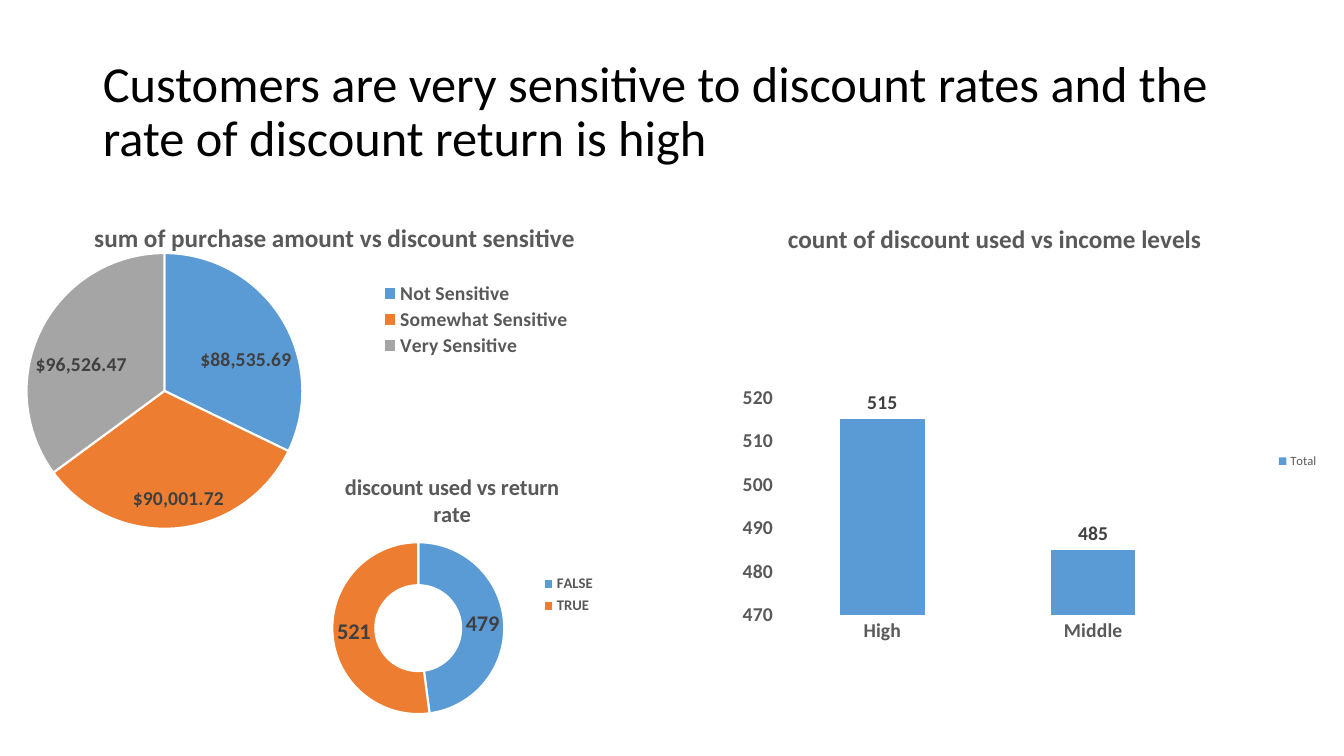
from dataclasses import dataclass
from typing import Optional

from lxml.etree import SubElement
from pptx import Presentation
from pptx.chart.chart import Chart
from pptx.chart.data import CategoryChartData
from pptx.dml.color import RGBColor
from pptx.enum.chart import (XL_CHART_TYPE, XL_LABEL_POSITION, XL_LEGEND_POSITION,
                             XL_TICK_MARK)
from pptx.enum.text import MSO_ANCHOR, MSO_AUTO_SIZE, PP_ALIGN
from pptx.oxml.ns import qn
from pptx.text.text import Font
from pptx.util import Inches, Pt


@dataclass(frozen=True)
class Theme:
    font: str = "Calibri"
    black: str = "000000"
    white: str = "FFFFFF"
    muted: str = "595959"
    label: str = "404040"
    accents: tuple[str, ...] = ("5B9BD5", "ED7D31", "A5A5A5")
    headline_size: float = 36
    base_size: float = 10
    axis_size: float = 14
    slice_border: float = 1.5


THEME = Theme()
Fractions = tuple[float, ...]


@dataclass(frozen=True)
class ChartPanel:
    kind: XL_CHART_TYPE
    box: tuple[float, float, float, float]
    title: str
    title_size: float
    title_at: Fractions
    series: str
    values: dict[str, float]
    number_format: str
    label_size: float
    label_position: Optional[XL_LABEL_POSITION]
    legend_size: float
    legend_bold: bool
    legend_at: Optional[Fractions]
    plot_at: Fractions


PANELS = (
    ChartPanel(XL_CHART_TYPE.PIE, (0.21, 2.09, 6.18, 5.26),
               "sum of purchase amount vs discount sensitive", 18, (0.11, 0.01), "Series 1",
               {"Not Sensitive": 88535.69, "Somewhat Sensitive": 90001.72,
                "Very Sensitive": 96526.47},
               '"$"#,##0.00', 14, XL_LABEL_POSITION.BEST_FIT,
               14, True, (0.57, 0.13, 0.32, 0.15), (0.0, 0.08, 0.46, 0.52)),
    ChartPanel(XL_CHART_TYPE.DOUGHNUT, (2.96, 4.5, 3.01, 2.75),
               "discount used vs return rate", 16, (0.14, 0.05), "Series 1",
               {"FALSE": 479, "TRUE": 521}, "0", 16, None,
               10.5, True, (0.79, 0.42, 0.2, 0.18), (0.11, 0.32, 0.57, 0.62)),
    ChartPanel(XL_CHART_TYPE.COLUMN_CLUSTERED, (7.03, 1.94, 6.15, 5.27),
               "count of discount used vs income levels", 18, (0.12, 0.04), "Total",
               {"High": 515, "Middle": 485}, "0", 14, XL_LABEL_POSITION.OUTSIDE_END,
               9, False, None, (0.11, 0.38, 0.68, 0.41)),
)


def style_font(font: Font, size: float, color: str, bold: bool = False) -> None:
    font.name, font.size, font.bold = THEME.font, Pt(size), bold
    font.color.rgb = RGBColor.from_string(color)


def place_part(chart: Chart, tag: str, fractions: Fractions) -> None:
    """Fix a chart part at x, y and optionally w, h, as fractions of the chart."""
    part = chart.element.xpath(f".//{tag}")[0]
    for automatic in part.findall(qn("c:layout")):
        part.remove(automatic)
    layout = SubElement(part, qn("c:layout"))
    manual = SubElement(layout, qn("c:manualLayout"))
    if tag == "c:plotArea":
        SubElement(manual, qn("c:layoutTarget")).set("val", "inner")
        part.insert(0, layout)
    else:
        part.find(qn("c:overlay")).addprevious(layout)
    for axis in "xy":
        SubElement(manual, qn(f"c:{axis}Mode")).set("val", "edge")
    for side, fraction in zip("xywh", fractions):
        SubElement(manual, qn(f"c:{side}")).set("val", str(fraction))


def style_axes(chart: Chart) -> None:
    for axis in (chart.category_axis, chart.value_axis):
        axis.has_major_gridlines = False
        axis.major_tick_mark = axis.minor_tick_mark = XL_TICK_MARK.NONE
        axis.format.line.fill.background()
        style_font(axis.tick_labels.font, THEME.axis_size, THEME.muted, True)
    counts = chart.value_axis
    counts.minimum_scale, counts.maximum_scale, counts.major_unit = 470, 520, 10
    counts.tick_labels.number_format = "0"
    counts.tick_labels.number_format_is_linked = False


def color_series(chart: Chart, panel: ChartPanel) -> None:
    plot = chart.plots[0]
    series = plot.series[0]
    is_column = panel.kind == XL_CHART_TYPE.COLUMN_CLUSTERED
    plot.vary_by_categories = not is_column
    if is_column:
        plot.gap_width = 150
        series.format.fill.solid()
        series.format.fill.fore_color.rgb = RGBColor.from_string(THEME.accents[0])
        style_axes(chart)
        return
    for index, color in zip(range(len(panel.values)), THEME.accents):
        piece = series.points[index].format
        piece.fill.solid()
        piece.fill.fore_color.rgb = RGBColor.from_string(color)
        piece.line.width = Pt(THEME.slice_border)
        piece.line.color.rgb = RGBColor.from_string(THEME.white)
    for hole in chart.element.xpath(".//c:holeSize"):
        hole.set("val", "55")


def add_panel(slide, panel: ChartPanel) -> None:
    data = CategoryChartData()
    data.categories = list(panel.values)
    data.add_series(panel.series, list(panel.values.values()))
    chart = slide.shapes.add_chart(panel.kind, *map(Inches, panel.box), data).chart
    style_font(chart.font, THEME.base_size, THEME.black)

    chart.has_title = True
    heading = chart.chart_title.text_frame.paragraphs[0].add_run()
    heading.text = panel.title
    style_font(heading.font, panel.title_size, THEME.muted, True)
    place_part(chart, "c:title", panel.title_at)

    chart.has_legend = True
    chart.legend.position = XL_LEGEND_POSITION.RIGHT
    chart.legend.include_in_layout = False
    style_font(chart.legend.font, panel.legend_size, THEME.muted, panel.legend_bold)
    if panel.legend_at:
        place_part(chart, "c:legend", panel.legend_at)

    color_series(chart, panel)
    place_part(chart, "c:plotArea", panel.plot_at)

    labels = chart.plots[0].series[0].data_labels
    labels.show_value = True
    labels.show_percentage = False
    labels.number_format = panel.number_format
    labels.number_format_is_linked = False
    if panel.label_position is not None:
        labels.position = panel.label_position
    style_font(labels.font, panel.label_size, THEME.label, True)


def add_headline(slide, text: str) -> None:
    headline = slide.shapes.title
    headline.left, headline.top = Inches(0.92), Inches(0.4)
    headline.width, headline.height = Inches(11.5), Inches(1.45)
    frame = headline.text_frame
    frame.auto_size = MSO_AUTO_SIZE.NONE
    frame.word_wrap = True
    frame.vertical_anchor = MSO_ANCHOR.MIDDLE
    paragraph = frame.paragraphs[0]
    paragraph.alignment = PP_ALIGN.LEFT
    paragraph.line_spacing = 0.9
    run = paragraph.add_run()
    run.text = text
    style_font(run.font, THEME.headline_size, THEME.black)


def main() -> None:
    deck = Presentation()
    deck.slide_width, deck.slide_height = Inches(13.33), Inches(7.5)
    slide = deck.slides.add_slide(deck.slide_layouts[5])
    add_headline(slide, "Customers are very sensitive to discount rates and the "
                        "rate of discount return is high")
    for panel in PANELS:
        add_panel(slide, panel)
    deck.save("out.pptx")


if __name__ == "__main__":
    main()
